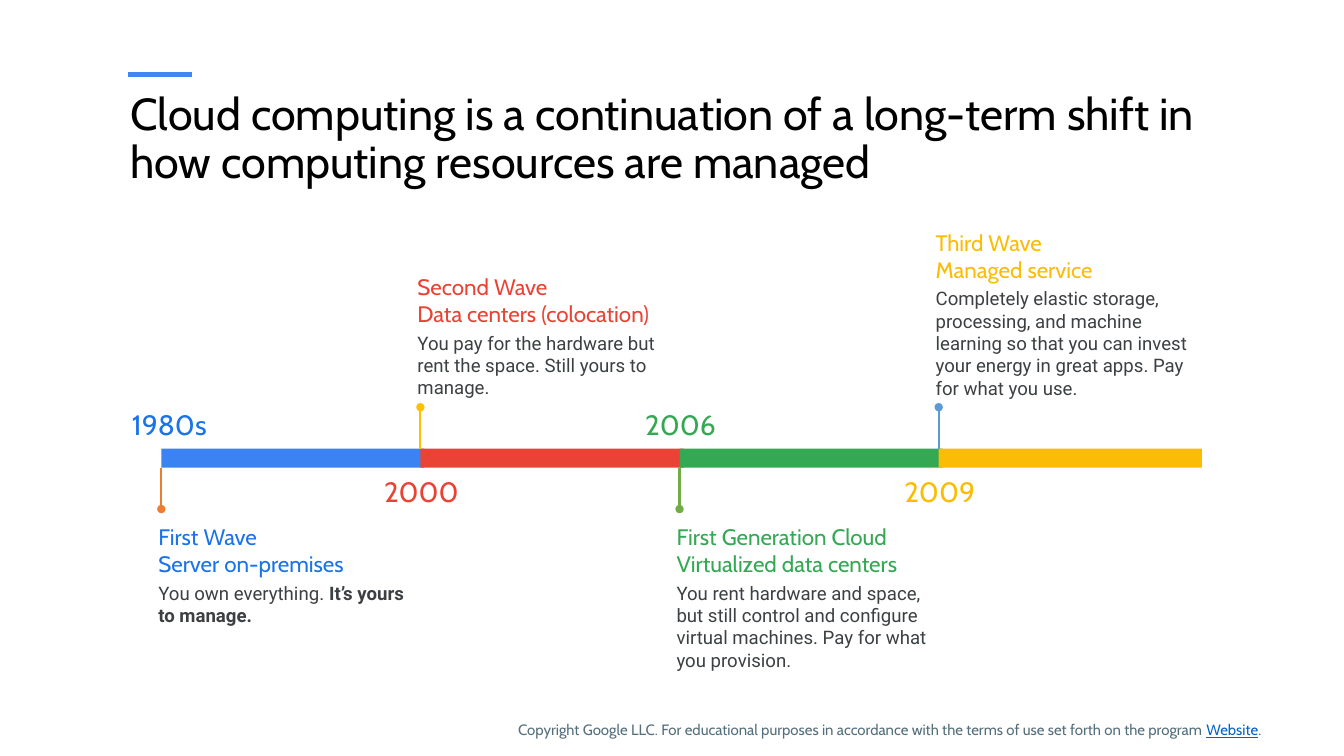
from dataclasses import dataclass

from lxml import etree
from pptx import Presentation
from pptx import util as u
from pptx.dml.color import RGBColor
from pptx.enum import shapes, text
from pptx.oxml import ns

HEADING_FONT = "Cabin"
BODY_FONT = "Roboto"
BODY_COLOR = "3C4043"
COPYRIGHT_COLOR = "546E7A"
FIRST_STEM_X = 1.6
WAVE_STEP = 2.57
WAVE_WIDTH = 2.61
BAR_TOP = 4.45
BAR_HEIGHT = 0.19


@dataclass
class Run:
    wording: str
    size: float
    color: str
    font: str = HEADING_FONT
    bold: bool = False
    underline: bool = False


@dataclass
class Paragraph:
    runs: list[Run]
    align: text.PP_ALIGN = text.PP_ALIGN.LEFT
    line_spacing: float = 1.0
    space_before: float = 0


@dataclass
class Wave:
    year: str
    year_left: float
    headings: tuple[str, str]
    description: str
    story_top: float
    story_height: float
    color: str
    bar_color: str
    stem_color: str
    above: bool
    emphasis: str = ""


WAVES = [
    Wave("1980s", 1.23, ("First Wave", "Server on-premises"),
         "You own everything. ", 5.12, 1.11,
         "1A73E8", "3B83F3", "ED7D31", False, "It’s yours to manage."),
    Wave("2000", 3.73, ("Second Wave", "Data centers (colocation)"),
         "You pay for the hardware but rent the space. Still yours to manage.",
         2.64, 1.33, "EA4335", "EA4335", "FFC000", True),
    Wave("2006", 6.3, ("First Generation Cloud", "Virtualized data centers"),
         "You rent hardware and space, but still control and configure "
         "virtual machines. Pay for what you provision.",
         5.12, 1.11, "34A853", "34A853", "70AD47", False),
    Wave("2009", 8.87, ("Third Wave", "Managed service"),
         "Completely elastic storage, processing, and machine learning so that "
         "you can invest your energy in great apps. Pay for what you use.",
         2.2, 1.83, "FBBC04", "FBBC05", "5B9BD5", True),
]


def rgb(color: str) -> RGBColor:
    return RGBColor.from_string(color)


def add_text(slide, left: float, top: float, width: float, height: float,
             paragraphs: list[Paragraph], inset: float = 0.07,
             side_inset: float = 0.07,
             anchor: text.MSO_ANCHOR = text.MSO_ANCHOR.TOP) -> None:
    box = slide.shapes.add_textbox(
        u.Inches(left), u.Inches(top), u.Inches(width), u.Inches(height))
    frame = box.text_frame
    frame.word_wrap = True
    frame.vertical_anchor = anchor
    frame.margin_top = frame.margin_bottom = u.Inches(inset)
    frame.margin_left = frame.margin_right = u.Inches(side_inset)
    for index, content in enumerate(paragraphs):
        paragraph = frame.add_paragraph() if index else frame.paragraphs[0]
        paragraph.alignment = content.align
        paragraph.line_spacing = content.line_spacing
        paragraph.space_before = u.Pt(content.space_before)
        for part in content.runs:
            run = paragraph.add_run()
            run.text = part.wording
            run.font.name = part.font
            run.font.size = u.Pt(part.size)
            run.font.bold = part.bold
            run.font.underline = part.underline
            run.font.color.rgb = rgb(part.color)


def add_line(slide, start: tuple[float, float], end: tuple[float, float],
             color: str, width: float, dot: bool = False) -> None:
    line = slide.shapes.add_connector(
        shapes.MSO_CONNECTOR.STRAIGHT,
        *(u.Inches(value) for value in (*start, *end)))
    line.line.color.rgb = rgb(color)
    line.line.width = u.Pt(width)
    if dot:
        etree.SubElement(line.line._get_or_add_ln(), ns.qn("a:tailEnd"), type="oval")
    etree.SubElement(line._element.spPr, ns.qn("a:effectLst"))


def add_bar(slide, left: float, color: str) -> None:
    bar = slide.shapes.add_shape(
        shapes.MSO_SHAPE.RECTANGLE, u.Inches(left), u.Inches(BAR_TOP),
        u.Inches(WAVE_WIDTH), u.Inches(BAR_HEIGHT))
    bar.shadow.inherit = False
    bar.fill.solid()
    bar.fill.fore_color.rgb = rgb(color)
    bar.line.fill.background()


def add_wave(slide, wave: Wave, stem_x: float) -> None:
    stem_start, stem_end = (BAR_TOP, 4.04) if wave.above else (BAR_TOP + BAR_HEIGHT, 5.05)
    add_line(slide, (stem_x, stem_start), (stem_x, stem_end), wave.stem_color, 1.5, dot=True)

    description = [Run(wave.description, 13.3, BODY_COLOR, BODY_FONT)]
    if wave.emphasis:
        description.append(Run(wave.emphasis, 13.3, BODY_COLOR, BODY_FONT, bold=True))
    story = [Paragraph([Run(heading, 16, wave.color)]) for heading in wave.headings]
    story.append(Paragraph(description, space_before=3.3))
    add_text(slide, stem_x - 0.03, wave.story_top, WAVE_WIDTH, wave.story_height,
             story, side_inset=0)

    year = Paragraph([Run(wave.year, 20, wave.color)], text.PP_ALIGN.CENTER)
    add_text(slide, wave.year_left, 4.71 if wave.above else 4.04, 0.9, 0.33,
             [year], anchor=text.MSO_ANCHOR.MIDDLE)


def main() -> None:
    deck = Presentation()
    deck.slide_width = u.Inches(13.33)
    deck.slide_height = u.Inches(7.5)
    slide = deck.slides.add_slide(deck.slide_layouts[6])

    add_line(slide, (1.27, 0.74), (1.9, 0.74), "4285F4", 3)
    title = Run("Cloud computing is a continuation of a long-term shift in "
                "how computing resources are managed", 32, "000000")
    add_text(slide, 1.22, 0.84, 10.77, 0.83, [Paragraph([title], line_spacing=0.9)])

    stems = [FIRST_STEM_X + WAVE_STEP * index for index in range(len(WAVES))]
    for wave, stem_x in zip(WAVES, stems):
        add_bar(slide, stem_x, wave.bar_color)
    for wave, stem_x in zip(WAVES, stems):
        add_wave(slide, wave, stem_x)

    copyright_line = [
        Run("Copyright Google LLC. For educational purposes in accordance with "
            "the terms of use set forth on the program ", 10.7, COPYRIGHT_COLOR),
        Run("Website", 10.7, "0563C1", underline=True),
        Run(".", 10.7, COPYRIGHT_COLOR),
    ]
    add_text(slide, 5.01, 7.02, 8.25, 0.38,
             [Paragraph(copyright_line, line_spacing=1.15)], inset=0.13, side_inset=0.13)

    deck.save("out.pptx")


if __name__ == "__main__":
    main()
